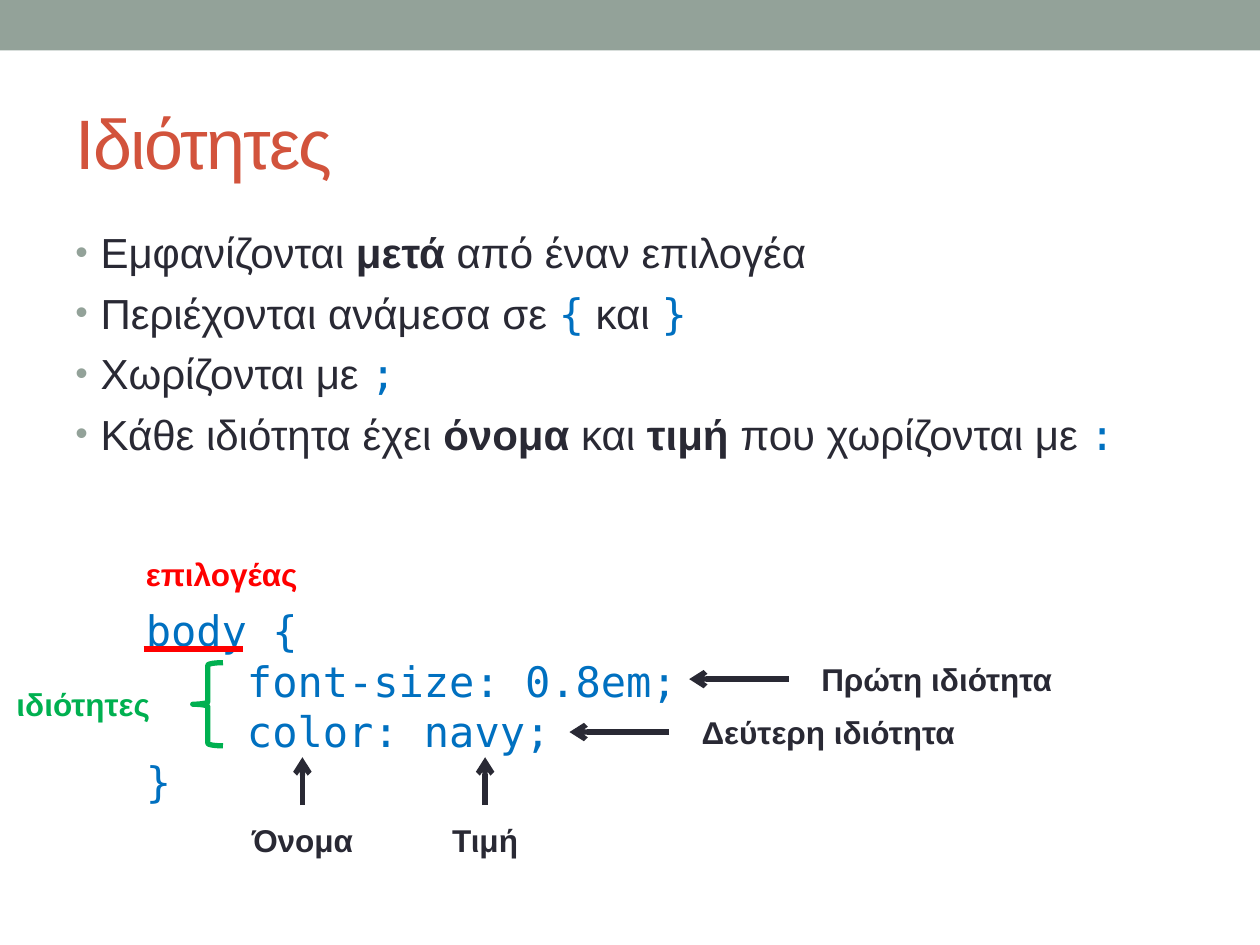
from lxml.etree import SubElement
from pptx import Presentation
from pptx.dml.color import RGBColor
from pptx.enum.shapes import MSO_CONNECTOR, MSO_SHAPE
from pptx.enum.text import MSO_ANCHOR, PP_ALIGN
from pptx.oxml.ns import qn
from pptx.util import Inches, Pt

SAGE = RGBColor(0x93, 0xA2, 0x99)
RUST = RGBColor(0xD2, 0x53, 0x3C)
INK = RGBColor(0x29, 0x29, 0x34)
BLUE = RGBColor(0x00, 0x70, 0xC0)
RED = RGBColor(0xFF, 0x00, 0x00)
GREEN = RGBColor(0x00, 0xB0, 0x50)
SANS, MONO = "Arial", "DejaVu Sans Mono"

COLUMNS, ROWS = 100, 75
LABEL_ROWS = 4
CODE = {"font": MONO, "color": BLUE}
BOLD = {"bold": True}


def add_run(paragraph, text, font=SANS, size=24, color=INK, bold=False):
    run = paragraph.add_run()
    run.text = text
    run.font.name = font
    run.font.size = Pt(size)
    run.font.color.rgb = color
    run.font.bold = bold
    return run


def add_bullet(paragraph):
    properties = paragraph._p.get_or_add_pPr()
    properties.set("marL", str(Inches(0.2)))
    properties.set("indent", str(-Inches(0.2)))
    color = SubElement(properties, qn("a:buClr"))
    SubElement(color, qn("a:srgbClr"), val=str(SAGE))
    SubElement(properties, qn("a:buSzPct"), val="85000")
    SubElement(properties, qn("a:buFont"), typeface=SANS)
    SubElement(properties, qn("a:buChar"), char="•")


class GridSlide:
    """Places elements on a slide by columns and rows of a grid."""

    def __init__(self, presentation):
        self.column = presentation.slide_width / COLUMNS
        self.row = presentation.slide_height / ROWS
        self.slide = presentation.slides.add_slide(presentation.slide_layouts[5])
        self.shapes = self.slide.shapes

    def grid(self, *cells):
        """Turn alternating columns and rows into lengths."""
        units = (self.column, self.row) * 2
        return [round(cell * unit) for cell, unit in zip(cells, units)]

    def title(self, text, *cells):
        title = self.shapes.title
        title.left, title.top, title.width, title.height = self.grid(*cells)
        title.text_frame.vertical_anchor = MSO_ANCHOR.MIDDLE
        paragraph = title.text_frame.paragraphs[0]
        paragraph.alignment = PP_ALIGN.LEFT
        run = add_run(paragraph, text, size=40, color=RUST)
        run.font._element.set("spc", "-100")

    def shape(self, preset, *cells, fill=None, line=None):
        shape = self.shapes.add_shape(preset, *self.grid(*cells))
        shape.shadow.inherit = False
        if fill is None:
            shape.fill.background()
        else:
            shape.fill.solid()
            shape.fill.fore_color.rgb = fill
        if line is None:
            shape.line.fill.background()
        else:
            shape.line.color.rgb = line
            shape.line.width = Pt(3)

    def text(self, paragraphs, *cells, wrap=True, align=PP_ALIGN.LEFT,
             bullets=False, gap=0, **style):
        """Each paragraph is a list of (text, format changes) runs."""
        frame = self.shapes.add_textbox(*self.grid(*cells)).text_frame
        frame.word_wrap = wrap
        for index, runs in enumerate(paragraphs):
            paragraph = frame.add_paragraph() if index else frame.paragraphs[0]
            paragraph.alignment = align
            if bullets:
                add_bullet(paragraph)
            if index and gap:
                paragraph.space_before = Pt(gap)
            for words, changes in runs:
                add_run(paragraph, words, **{**style, **changes})

    def label(self, words, left, top, width, color=INK, **layout):
        self.text([[(words, {})]], left, top, width, LABEL_ROWS,
                  wrap=False, size=18, bold=True, color=color, **layout)

    def line(self, *cells, color=INK, arrow=False):
        line = self.shapes.add_connector(MSO_CONNECTOR.STRAIGHT, *self.grid(*cells))
        line.line.color.rgb = color
        line.line.width = Pt(3)
        if arrow:
            SubElement(line.line._get_or_add_ln(), qn("a:tailEnd"), type="arrow")
        SubElement(line._element.spPr, qn("a:effectLst"))


def main():
    presentation = Presentation()
    presentation.slide_width, presentation.slide_height = Inches(10), Inches(7.5)
    page = GridSlide(presentation)

    page.shape(MSO_SHAPE.RECTANGLE, 0, 0, COLUMNS, 4, fill=SAGE)
    page.title("Ιδιότητες", 5, 5.8, 90, 10.8)

    rules = [
        [("Εμφανίζονται ", {}), ("μετά", BOLD), (" από έναν επιλογέα", {})],
        [("Περιέχονται ανάμεσα σε ", {}), ("{", CODE), (" και ", {}), ("}", CODE)],
        [("Χωρίζονται με ", {}), (";", CODE)],
        [("Κάθε ιδιότητα έχει ", {}), ("όνομα", BOLD), (" και ", {}),
         ("τιμή ", BOLD), ("που χωρίζονται με ", {}), (":", CODE)],
    ]
    page.text(rules, 5, 17.5, 90, 23.1, bullets=True, gap=5.8)

    code_lines = ["body {", "    font-size: 0.8em;", "    color: navy;", "}"]
    page.text([[(code, {})] for code in code_lines], 10.6, 47.5, 52, 21.2, **CODE)

    page.line(11.4, 51.5, 19.3, 51.5, color=RED)
    page.label("επιλογέας", 10.6, 43.6, 14.2, color=RED)

    page.label("ιδιότητες", -2.8, 53.9, 15.7, color=GREEN, align=PP_ALIGN.RIGHT)
    page.shape(MSO_SHAPE.LEFT_BRACE, 15.3, 52.6, 2.4, 6.6, line=GREEN)

    for words, tip, middle in [("Πρώτη ιδιότητα", 54.7, 53.9),
                               ("Δεύτερη ιδιότητα", 45.2, 58.1)]:
        page.line(tip + 7.9, middle, tip, middle, arrow=True)
        page.label(words, tip + 9.5, middle - LABEL_ROWS / 2, 35.4)

    for words, center, width in [("Όνομα", 24, 10.2), ("Τιμή", 38.5, 7.3)]:
        page.line(center, 63.9, center, 60.1, arrow=True)
        page.label(words, center - width / 2, 64.7, width, align=PP_ALIGN.CENTER)

    presentation.save("out.pptx")


if __name__ == "__main__":
    main()
